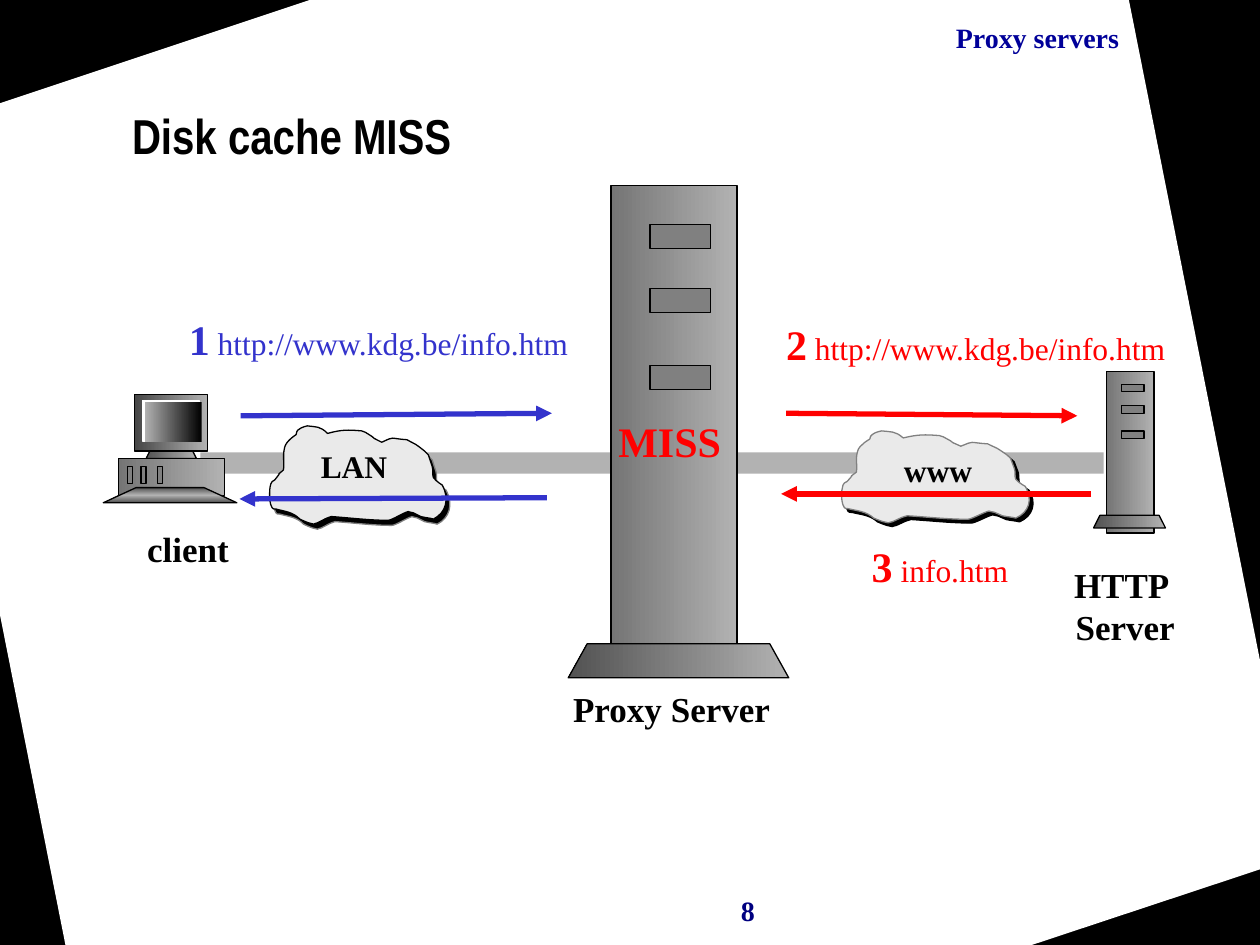
from dataclasses import dataclass

from lxml import etree
from pptx import Presentation
from pptx.dml.color import RGBColor
from pptx.enum.shapes import MSO_CONNECTOR, MSO_SHAPE
from pptx.enum.text import MSO_ANCHOR, PP_ALIGN
from pptx.oxml.ns import qn
from pptx.util import Inches, Pt

RECTANGLE = MSO_SHAPE.RECTANGLE
STRAIGHT = MSO_CONNECTOR.STRAIGHT
LEFT, CENTER, RIGHT = PP_ALIGN.LEFT, PP_ALIGN.CENTER, PP_ALIGN.RIGHT
TOP, MIDDLE = MSO_ANCHOR.TOP, MSO_ANCHOR.MIDDLE

BLACK = RGBColor(0x00, 0x00, 0x00)
WHITE = RGBColor(0xFF, 0xFF, 0xFF)
RED = RGBColor(0xFF, 0x00, 0x00)
BLUE = RGBColor(0x33, 0x33, 0xCC)
HEADER_BLUE = RGBColor(0x00, 0x00, 0x99)
NUMBER_BLUE = RGBColor(0x00, 0x00, 0x80)
GRAY = RGBColor(0x80, 0x80, 0x80)
SILVER = RGBColor(0xB2, 0xB2, 0xB2)
CLOUD_GRAY = RGBColor(0xEA, 0xEA, 0xEA)
BODY_DARK = RGBColor(0x75, 0x75, 0x75)
FOOT_DARK = RGBColor(0x52, 0x52, 0x52)
SCREEN_DARK = RGBColor(0x46, 0x46, 0x46)

BODY = (SILVER, BODY_DARK)
FOOT = (SILVER, FOOT_DARK)
SERIF = "Times New Roman"
Area = tuple[float, float, float, float]  # left, top, width, height in inches
Paint = RGBColor | tuple[RGBColor, ...]  # one colour, or gradient stops

# Cloud outline: start point, then Bezier segments, in a 1.43 by 0.78 frame
CLOUD_SIZE = (1.43, 0.78)
CLOUD_START = (0.49, 0.72)
CLOUD_CURVES = [
    (0.43, 0.74, 0.46, 0.73, 0.38, 0.77), (0.37, 0.77, 0.35, 0.78, 0.35, 0.78),
    (0.34, 0.78, 0.32, 0.77, 0.31, 0.77), (0.28, 0.76, 0.24, 0.74, 0.24, 0.74),
    (0.18, 0.68, 0.12, 0.68, 0.05, 0.66), (0.04, 0.66, 0.02, 0.66, 0.02, 0.65),
    (0, 0.62, 0, 0.56, 0, 0.56), (0, 0.52, 0, 0.49, 0.01, 0.46),
    (0.01, 0.44, 0.03, 0.44, 0.04, 0.43), (0.13, 0.32, 0.02, 0.43, 0.11, 0.35),
    (0.12, 0.28, 0.1, 0.25, 0.12, 0.17), (0.13, 0.12, 0.21, 0.07, 0.21, 0.07),
    (0.21, 0.06, 0.22, 0.03, 0.23, 0.03), (0.25, 0.01, 0.3, 0, 0.3, 0),
    (0.37, 0.01, 0.4, 0, 0.46, 0.06), (0.57, 0.03, 0.62, 0.03, 0.73, 0.04),
    (0.75, 0.05, 0.77, 0.05, 0.79, 0.07), (0.81, 0.08, 0.82, 0.09, 0.83, 0.1),
    (0.85, 0.11, 0.89, 0.13, 0.89, 0.13), (1, 0.08, 0.94, 0.1, 1.09, 0.11),
    (1.18, 0.16, 1.14, 0.13, 1.23, 0.2), (1.24, 0.21, 1.26, 0.23, 1.26, 0.23),
    (1.28, 0.27, 1.28, 0.28, 1.29, 0.32), (1.3, 0.35, 1.29, 0.39, 1.3, 0.41),
    (1.32, 0.44, 1.37, 0.47, 1.37, 0.47), (1.43, 0.58, 1.4, 0.69, 1.3, 0.74),
    (1.27, 0.73, 1.24, 0.73, 1.2, 0.72), (1.18, 0.71, 1.16, 0.7, 1.14, 0.69),
    (1.13, 0.69, 1.1, 0.68, 1.1, 0.68), (1.06, 0.69, 0.97, 0.75, 0.94, 0.75),
    (0.79, 0.75, 0.64, 0.73, 0.49, 0.72),
]


@dataclass
class Label:
    area: Area
    text: str
    size: float = 20
    color: RGBColor = BLACK
    align: PP_ALIGN = CENTER
    number: str = ""  # large bold step number before plain text
    wrap: bool = True
    font: str = SERIF
    anchor: MSO_ANCHOR = TOP
    spacing: float = 1.0
    framed: bool = True  # clear rectangle, else a text box


@dataclass
class Server:
    body: Area
    slot_left: float
    slot_tops: tuple[float, ...]
    slot_size: tuple[float, float]
    foot: Area
    foot_inset: float


@dataclass
class Arrow:
    start: tuple[float, float]
    end: tuple[float, float]
    color: RGBColor


def style(shape, paint: Paint | None, line: RGBColor | None = BLACK, angle: float = 180) -> None:
    shape.shadow.inherit = False
    if paint is None:
        shape.fill.background()
    elif isinstance(paint, RGBColor):
        shape.fill.solid()
        shape.fill.fore_color.rgb = paint
    else:
        shape.fill.gradient()
        shape.fill.gradient_angle = angle
        stops = next(shape._element.iter(qn("a:gsLst")))
        for stop in list(stops):
            stops.remove(stop)
        for index, color in enumerate(paint):
            position = 100000 * index // (len(paint) - 1)
            stop = etree.SubElement(stops, qn("a:gs"), pos=str(position))
            etree.SubElement(stop, qn("a:srgbClr"), val=str(color))
    if line is None:
        shape.line.fill.background()
    else:
        shape.line.color.rgb = line
        shape.line.width = Pt(0.75)


def add_box(page, area: Area, paint: Paint | None, line: RGBColor | None = BLACK):
    box = page.shapes.add_shape(RECTANGLE, *map(Inches, area))
    style(box, paint, line)
    return box


def add_outline(page, points, paint: Paint, line: RGBColor | None = BLACK, angle: float = 180):
    corners = [(Inches(x), Inches(y)) for x, y in points]
    builder = page.shapes.build_freeform(*corners[0], scale=1.0)
    builder.add_line_segments(corners[1:], close=True)
    outline = builder.convert_to_shape()
    style(outline, paint, line, angle)
    return outline


def add_foot(page, area: Area, inset: float, paint: Paint = FOOT, angle: float = 180) -> None:
    left, top, width, height = area
    right, bottom = left + width, top + height
    points = [(left, bottom), (right, bottom), (right - inset, top), (left + inset, top)]
    add_outline(page, points, paint, angle=angle)


def add_cloud(page, area: Area, paint: RGBColor, line: RGBColor) -> None:
    left, top, width, height = area
    x_scale, y_scale = width / CLOUD_SIZE[0], height / CLOUD_SIZE[1]

    def place(x: float, y: float) -> tuple[float, float]:
        return left + x * x_scale, top + y * y_scale

    knots = [CLOUD_START] + [curve[4:] for curve in CLOUD_CURVES]
    cloud = add_outline(page, [place(*knot) for knot in knots], paint, line)
    # Bend each straight segment into its Bezier curve
    for segment, curve in zip(list(cloud._element.iter(qn("a:lnTo"))), CLOUD_CURVES):
        segment.tag = qn("a:cubicBezTo")
        for index in (0, 2):
            x, y = place(*curve[index:index + 2])
            point = etree.Element(qn("a:pt"), x=str(Inches(x) - cloud.left), y=str(Inches(y) - cloud.top))
            segment.insert(index // 2, point)


def add_server(page, server: Server) -> None:
    add_box(page, server.body, BODY)
    for top in server.slot_tops:
        add_box(page, (server.slot_left, top, *server.slot_size), GRAY)
    add_foot(page, server.foot, server.foot_inset)


def add_label(page, label: Label) -> None:
    if label.framed:
        box = add_box(page, label.area, None, None)
    else:
        box = page.shapes.add_textbox(*map(Inches, label.area))
    frame = box.text_frame
    frame.word_wrap = label.wrap
    frame.vertical_anchor = label.anchor
    para = frame.paragraphs[0]
    para.alignment = label.align
    para.line_spacing = label.spacing
    para.font.name = label.font
    para.font.color.rgb = label.color
    if label.number:
        for text, size, bold in ((label.number, 24, True), (f" {label.text}", label.size, False)):
            span = para.add_run()
            span.text = text
            span.font.size, span.font.bold = Pt(size), bold
    else:
        para.text = label.text
        para.font.size, para.font.bold = Pt(label.size), True


def add_arrow(page, arrow: Arrow) -> None:
    connector = page.shapes.add_connector(STRAIGHT, *map(Inches, arrow.start + arrow.end))
    connector.line.color.rgb = arrow.color
    connector.line.width = Pt(3)
    etree.SubElement(connector.line._get_or_add_ln(), qn("a:tailEnd"), type="triangle")
    etree.SubElement(connector._element.spPr, qn("a:effectLst"))


def main() -> None:
    deck = Presentation()
    deck.slide_width, deck.slide_height = Inches(10), Inches(7.5)
    page = deck.slides.add_slide(deck.slide_layouts[6])

    # Black page with a tilted white sheet
    page.background.fill.solid()
    page.background.fill.fore_color.rgb = BLACK
    sheet = [(8.96, 0), (2.46, 0), (0, 0.82), (0, 4.88), (0.52, 7.5), (8.19, 7.5), (10, 6.9), (10, 5.24)]
    add_outline(page, sheet, WHITE, None)

    # Network cable and clouds with their shadows
    add_box(page, (1.59, 3.59, 7.17, 0.17), SILVER, None)
    add_cloud(page, (2.17, 3.42, 1.43, 0.78), BLACK, GRAY)
    add_cloud(page, (2.14, 3.38, 1.43, 0.78), CLOUD_GRAY, BLACK)
    add_cloud(page, (6.71, 3.45, 1.52, 0.73), BLACK, BLACK)
    add_cloud(page, (6.68, 3.42, 1.52, 0.73), CLOUD_GRAY, GRAY)

    # Client computer
    add_foot(page, (1.16, 3.56, 0.4, 0.08), 0.04)
    add_box(page, (1.07, 3.13, 0.58, 0.45), (SILVER, SCREEN_DARK))
    add_box(page, (1.13, 3.18, 0.45, 0.32), WHITE, WHITE)
    add_box(page, (1.15, 3.19, 0.45, 0.32), (BLACK, SILVER), None)
    add_box(page, (0.94, 3.64, 0.84, 0.29), BODY)
    add_foot(page, (0.82, 3.87, 1.06, 0.12), 0.26, (FOOT_DARK, SILVER, FOOT_DARK), 90)
    for left in (1.01, 1.12, 1.25):
        add_box(page, (left, 3.7, 0.04, 0.14), GRAY)

    # Proxy server and HTTP server
    add_server(page, Server((4.85, 1.47, 1, 3.89), 5.16, (1.78, 2.29, 2.9), (0.48, 0.19), (4.51, 5.11, 1.75, 0.27), 0.15))
    add_server(page, Server((8.78, 2.95, 0.38, 1.28), 8.9, (3.05, 3.22, 3.42), (0.18, 0.06), (8.68, 4.09, 0.57, 0.1), 0.05))

    # Header, title, page number, names and numbered steps
    url = "http://www.kdg.be/info.htm"
    for label in (
        Label((3.88, 0.13, 5.1, 0.36), "Proxy servers", 16, HEADER_BLUE, RIGHT, spacing=0.95),
        Label((5.55, 7.06, 0.77, 0.36), "8", 16, NUMBER_BLUE, spacing=0.95),
        Label((0.95, 0.8, 8.5, 0.58), "Disk cache MISS", 28, BLACK, LEFT, "", True, "Arial Narrow", MIDDLE, 0.98, False),
        Label((2.41, 3.5, 0.8, 0.4), "LAN", 18),
        Label((7.02, 3.53, 0.85, 0.4), "www", 18),
        Label((1.07, 4.14, 0.85, 0.44), "client", align=LEFT, wrap=False),
        Label((8.42, 4.42, 1.02, 0.77), "HTTP \nServer", wrap=False),
        Label((4.44, 5.41, 1.78, 0.44), "Proxy Server"),
        Label((1.4, 2.44, 3.23, 0.5), url, 18, BLUE, LEFT, "1", False),
        Label((6.14, 2.48, 3.23, 0.5), url, 18, RED, LEFT, "2", False, framed=False),
        Label((6.82, 4.24, 1.28, 0.5), "info.htm", 18, RED, LEFT, "3", False, framed=False),
        Label((4.81, 3.25, 1.01, 0.5), "MISS", 24, RED, wrap=False),
    ):
        add_label(page, label)

    # Requests and replies
    for arrow in (
        Arrow((1.91, 3.3), (4.38, 3.28), BLUE),
        Arrow((6.24, 3.28), (8.55, 3.3), RED),
        Arrow((4.34, 3.95), (1.9, 3.96), BLUE),
        Arrow((8.66, 3.92), (6.2, 3.92), RED),
    ):
        add_arrow(page, arrow)

    deck.save("out.pptx")


if __name__ == "__main__":
    main()
